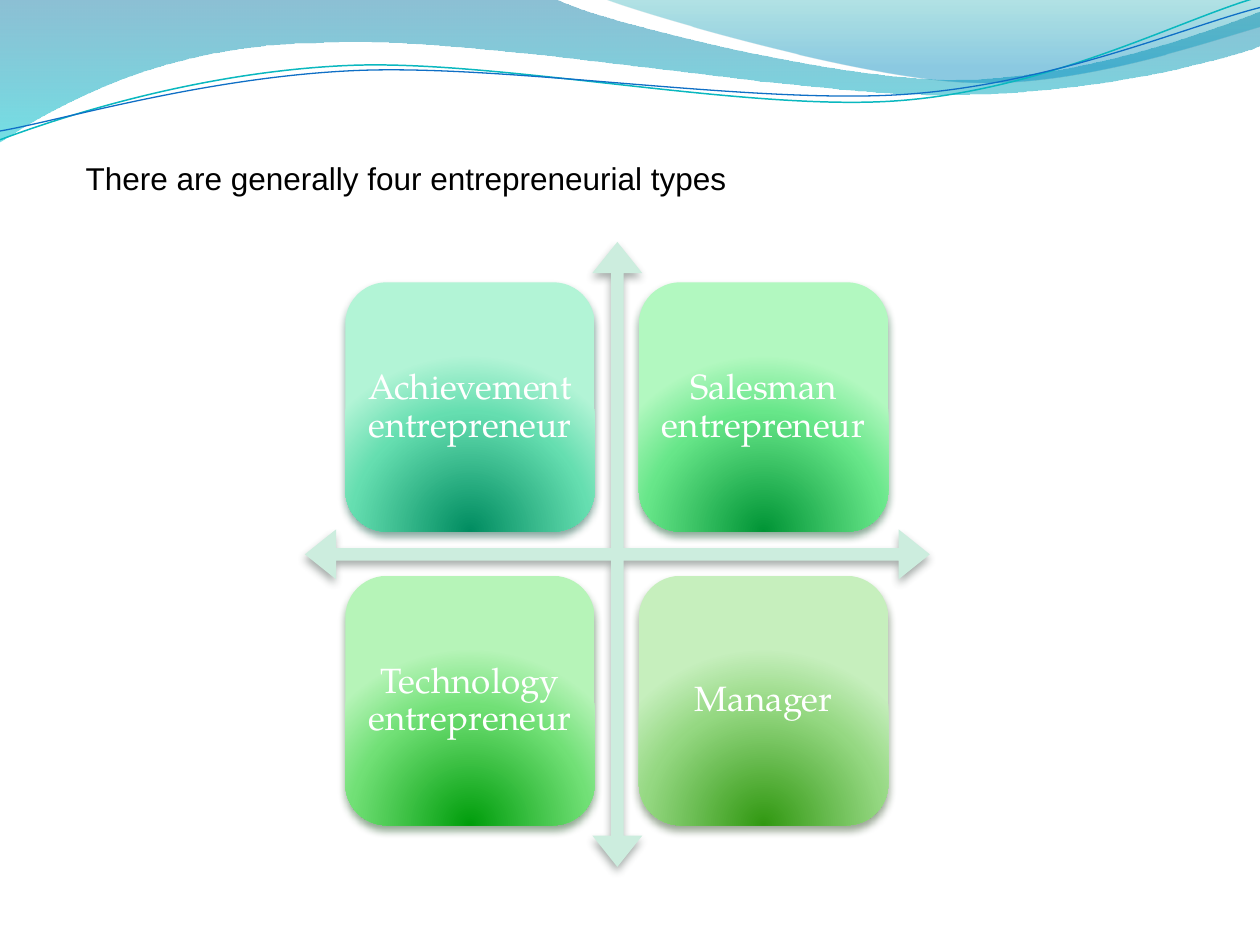
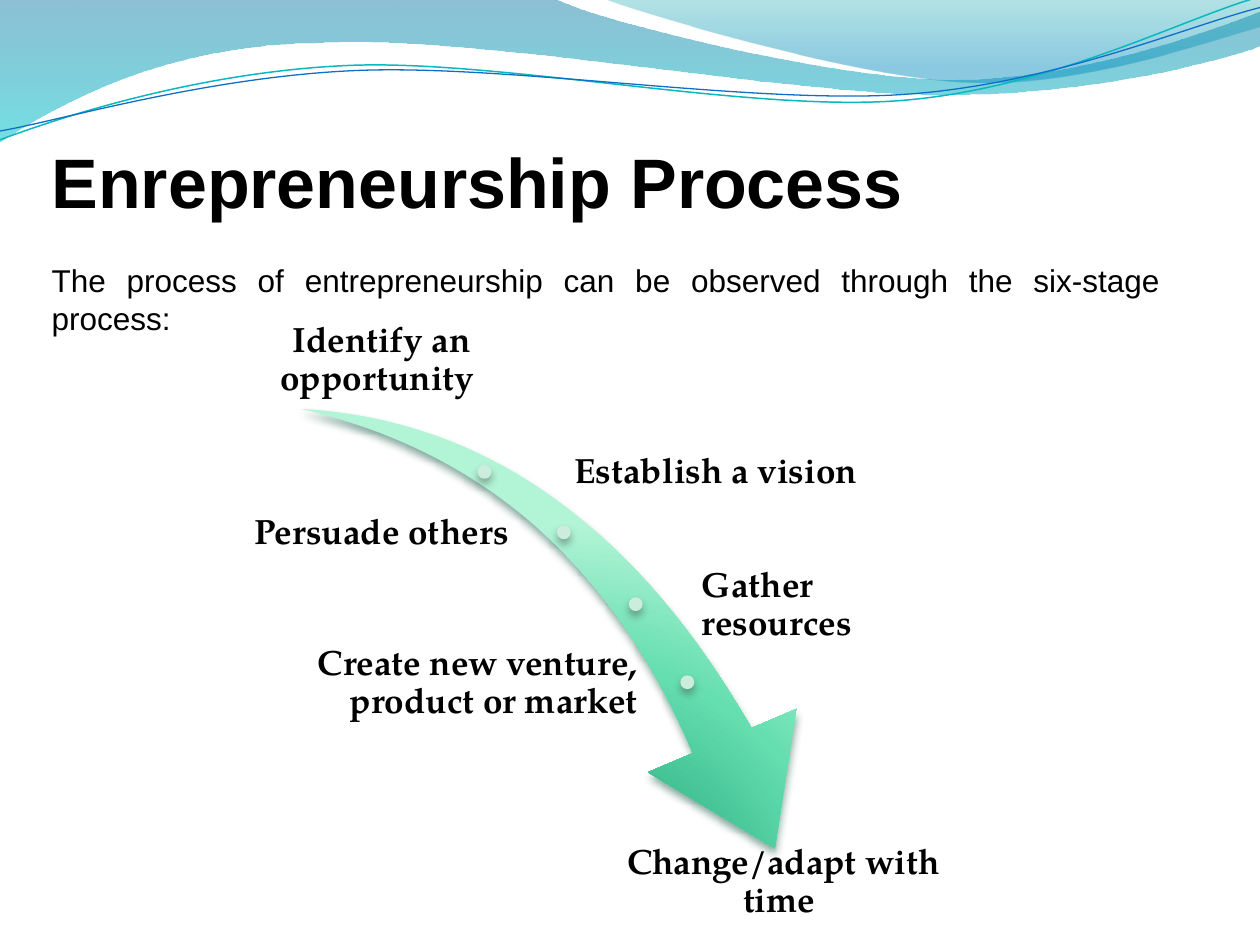
from lxml import etree
from pptx import Presentation
from pptx.dml.color import RGBColor
from pptx.enum.shapes import MSO_SHAPE
from pptx.enum.text import MSO_ANCHOR, MSO_AUTO_SIZE, PP_ALIGN
from pptx.oxml.ns import qn
from pptx.util import Inches, Pt

TOP, MIDDLE, BOTTOM = MSO_ANCHOR.TOP, MSO_ANCHOR.MIDDLE, MSO_ANCHOR.BOTTOM
LEFT, CENTER, RIGHT, JUSTIFY = (
    PP_ALIGN.LEFT, PP_ALIGN.CENTER, PP_ALIGN.RIGHT, PP_ALIGN.JUSTIFY)
TITLE_AND_CONTENT, TITLE_ONLY = 1, 5

HEADING_FONT = "Arial"
DIAGRAM_FONT = "TeX Gyre Pagella"

BLACK = RGBColor(0x00, 0x00, 0x00)
WHITE = RGBColor(0xFF, 0xFF, 0xFF)
MINT = RGBColor(0xCC, 0xED, 0xDE)
MINT_SHADOW = RGBColor(0x47, 0x54, 0x4E)
TEAL_LINE = RGBColor(0x0A, 0xB8, 0xBF)
BLUE_LINE = RGBColor(0x0F, 0x6F, 0xC6)
JADE_SHADOW = RGBColor(0x04, 0x4A, 0x37)

# Gradients are (position %, colour, opacity %)
WAVE_BLUE = [(0, RGBColor(0x00, 0x74, 0xA1), 45), (100, RGBColor(0x00, 0xC6, 0xCF), 55)]
WAVE_TEAL = [(0, RGBColor(0x00, 0xA1, 0xA9), 30), (80, RGBColor(0x00, 0x8B, 0xBF), 45)]


def glow(dark, medium, light):
    return [(0, dark, 100), (68, medium, 100), (100, light, 100)]


JADE = glow(RGBColor(0x00, 0x8C, 0x60), RGBColor(0x65, 0xDE, 0xB0), RGBColor(0xB2, 0xF4, 0xD6))
EMERALD = glow(RGBColor(0x00, 0x94, 0x35), RGBColor(0x67, 0xE6, 0x89), RGBColor(0xB2, 0xF8, 0xC0))
GREEN = glow(RGBColor(0x00, 0x9D, 0x0B), RGBColor(0x71, 0xE0, 0x76), RGBColor(0xB6, 0xF4, 0xB8))
OLIVE = glow(RGBColor(0x31, 0x98, 0x11), RGBColor(0x95, 0xD8, 0x82), RGBColor(0xC6, 0xEF, 0xBD))

# Each wave is a list of points: a pair is a corner, six numbers are a Bezier curve
BLUE_WAVE = [
    (0, -0.01), (4.4, -0.01), (4.76, 0.17, 6.64, 0.63, 7.58, 0.63),
    (8.53, 0.63, 9.58, 0.26, 10, 0.09), (10.01, 0.36),
    (9.83, 0.44, 8.7, 0.76, 7.46, 0.75), (6.22, 0.75, 3.82, 0.28, 2.57, 0.34),
    (1.29, 0.35, 0.46, 0.83, -0.01, 1.13)]
TEAL_WAVE = [
    (4.79, -0.01), (5.09, 0.11, 6.82, 0.62, 7.69, 0.65),
    (8.56, 0.69, 9.61, 0.32, 10, 0.21), (10, 0)]
TEAL_CURVE = [
    (0, 1.11), (0.48, 0.93, 1.58, 0.57, 2.77, 0.52),
    (3.95, 0.47, 5.93, 0.89, 7.13, 0.8), (8.33, 0.71, 9.38, 0.15, 9.98, -0.02)]
BLUE_CURVE = [
    (0, 1.04), (0.47, 0.96, 1.64, 0.61, 2.83, 0.56),
    (4.03, 0.51, 5.97, 0.83, 7.17, 0.75), (8.36, 0.67, 9.41, 0.21, 10, 0.06)]

ENTREPRENEUR_TYPES = [
    ("Achievement entrepreneur ", JADE, JADE_SHADOW),
    ("Salesman entrepreneur", EMERALD, RGBColor(0x0A, 0x4D, 0x25)),
    ("Technology entrepreneur", GREEN, RGBColor(0x15, 0x4B, 0x19)),
    ("Manager", OLIVE, RGBColor(0x2B, 0x48, 0x21))]
CARD_SIZE, CARD_PITCH = 1.98, 2.33
CARDS_LEFT, CARDS_TOP = 2.74, 2.24

STAGE_DOTS = [(3.79, 3.69), (4.42, 4.17), (4.99, 4.74), (5.4, 5.36)]
STAGE_HEIGHT = 0.82
STAGES = [
    ("Identify an opportunity ", 1.99, 2.37, 2.08, CENTER, BOTTOM),
    ("Establish a vision", 4.53, 3.34, 3.1, LEFT, MIDDLE),
    ("Persuade others", 1.97, 3.82, 2.1, RIGHT, MIDDLE),
    ("Gather resources", 5.54, 4.39, 2.08, LEFT, MIDDLE),
    ("Create new venture, product or market", 1.99, 5.01, 3.1, RIGHT, MIDDLE),
    ("Change/adapt with time ", 4.81, 6.67, 2.82, CENTER, TOP)]


def add_colour(parent, colour, opacity):
    node = etree.SubElement(parent, qn("a:srgbClr"), val=str(colour))
    if opacity < 100:
        etree.SubElement(node, qn("a:alpha"), val=str(opacity * 1000))


def fill_gradient(shape, stops, radial):
    """Fill from top to bottom, or radially from a point below the shape."""
    shape.fill.gradient()
    gradient = shape.element.spPr.find(qn("a:gradFill"))
    for child in list(gradient):
        gradient.remove(child)
    gradient.set("rotWithShape", "1")
    stop_list = etree.SubElement(gradient, qn("a:gsLst"))
    for position, colour, opacity in stops:
        stop = etree.SubElement(stop_list, qn("a:gs"), pos=str(position * 1000))
        add_colour(stop, colour, opacity)
    if radial:
        circle = etree.SubElement(gradient, qn("a:path"), path="circle")
        etree.SubElement(circle, qn("a:fillToRect"),
                         l="50000", t="130000", r="50000", b="-30000")
    else:
        etree.SubElement(gradient, qn("a:lin"), ang="5400000", scaled="1")


def add_shadow(shape, colour):
    shape.shadow.inherit = False
    effects = shape.element.spPr.find(qn("a:effectLst"))
    shadow = etree.SubElement(
        effects, qn("a:outerShdw"), blurRad=str(Pt(4.5)), dist=str(Pt(3)),
        dir="5400000", rotWithShape="0")
    add_colour(shadow, colour, 48)


def bend_segments(shape, steps):
    """Turn the straight segments of a freeform into Bezier curves where a step has six numbers."""
    segments = list(shape.element.spPr.iter(qn("a:lnTo")))
    for segment, step in zip(segments, steps):
        if len(step) == 2:
            continue
        curve = etree.Element(qn("a:cubicBezTo"))
        for x, y in zip(step[::2], step[1::2]):
            etree.SubElement(curve, qn("a:pt"), x=str(Inches(x) - shape.left),
                             y=str(Inches(y) - shape.top))
        segment.getparent().replace(segment, curve)


def add_outline(slide, outline, closed):
    start, *corners = [(Inches(step[-2]), Inches(step[-1])) for step in outline]
    builder = slide.shapes.build_freeform(*start)
    builder.add_line_segments(corners, close=closed)
    shape = builder.convert_to_shape()
    bend_segments(shape, outline[1:])
    shape.shadow.inherit = False
    return shape


def add_wave(slide, outline, stops):
    wave = add_outline(slide, outline, True)
    fill_gradient(wave, stops, radial=False)
    wave.line.fill.background()
    return wave


def add_curve(slide, outline, colour, width):
    curve = add_outline(slide, outline, False)
    curve.fill.background()
    curve.line.color.rgb = colour
    curve.line.width = Pt(width)
    return curve


def add_waves_to_master(deck, slide):
    """Draw the waves on a slide, then move them behind the master's placeholders."""
    waves = [
        add_wave(slide, BLUE_WAVE, WAVE_BLUE),
        add_wave(slide, TEAL_WAVE, WAVE_TEAL),
        add_curve(slide, TEAL_CURVE, TEAL_LINE, 0.85),
        add_curve(slide, BLUE_CURVE, BLUE_LINE, 0.75)]
    master_tree = deck.slide_master.shapes.element
    for index, wave in enumerate(waves, start=2):
        master_tree.insert(index, wave.element)


def add_diagram_shape(slide, kind, left, top, width, height, shadow):
    shape = slide.shapes.add_shape(
        kind, Inches(left), Inches(top), Inches(width), Inches(height))
    shape.fill.solid()
    shape.fill.fore_color.rgb = MINT
    shape.line.fill.background()
    add_shadow(shape, shadow)
    return shape


def write(frame, text, font, size, colour=BLACK, bold=False, align=LEFT,
          anchor=TOP, spacing=1.0):
    frame.word_wrap = True
    frame.auto_size = MSO_AUTO_SIZE.NONE
    frame.vertical_anchor = anchor
    para = frame.paragraphs[0]
    para.alignment = align
    para.line_spacing = spacing
    para.space_before = Pt(0)
    span = para.add_run()
    span.text = text
    span.font.name = font
    span.font.size = Pt(size)
    span.font.bold = bold
    span.font.color.rgb = colour


def set_insets(frame, inset):
    frame.margin_left = frame.margin_right = Inches(inset)
    frame.margin_top = frame.margin_bottom = Inches(inset)


def fill_placeholder(box, text, left, top, width, height, size, **style):
    box.left, box.top = Inches(left), Inches(top)
    box.width, box.height = Inches(width), Inches(height)
    write(box.text_frame, text, HEADING_FONT, size, **style)


def remove_bullet(para):
    properties = para._p.get_or_add_pPr()
    properties.set("marL", "0")
    properties.set("indent", "0")
    etree.SubElement(properties, qn("a:buNone"))


def add_type_card(slide, index, text, stops, shadow):
    row, column = divmod(index, 2)
    card = add_diagram_shape(
        slide, MSO_SHAPE.ROUNDED_RECTANGLE, CARDS_LEFT + column * CARD_PITCH,
        CARDS_TOP + row * CARD_PITCH, CARD_SIZE, CARD_SIZE, shadow)
    fill_gradient(card, stops, radial=True)
    set_insets(card.text_frame, 0.08)
    write(card.text_frame, text, DIAGRAM_FONT, 20, colour=WHITE,
          align=CENTER, anchor=MIDDLE, spacing=0.9)


def add_stage(slide, text, left, top, width, align, anchor):
    box = slide.shapes.add_textbox(
        Inches(left), Inches(top), Inches(width), Inches(STAGE_HEIGHT))
    set_insets(box.text_frame, 0.03)
    write(box.text_frame, text, DIAGRAM_FONT, 20, bold=True,
          align=align, anchor=anchor, spacing=0.9)


def build_types_slide(slide):
    fill_placeholder(slide.shapes.title, "There are generally four entrepreneurial types",
                     0.58, 1.21, 5.75, 0.4, 18)
    axes = add_diagram_shape(
        slide, MSO_SHAPE.QUAD_ARROW, 2.42, 1.92, 4.96, 4.96, MINT_SHADOW)
    for index, value in enumerate((0.02, 0.04, 0.05)):
        axes.adjustments[index] = value
    for index, entrepreneur_type in enumerate(ENTREPRENEUR_TYPES):
        add_type_card(slide, index, *entrepreneur_type)


def build_process_slide(slide):
    fill_placeholder(slide.shapes.title, "Enrepreneurship Process",
                     0.31, 1.05, 9, 0.75, 40, bold=True, align=JUSTIFY)
    intro = slide.placeholders[1]
    fill_placeholder(
        intro, "The process of entrepreneurship can be observed through the six-stage process: ",
        0.31, 2.02, 9, 0.7, 18, align=JUSTIFY)
    remove_bullet(intro.text_frame.paragraphs[0])

    arrow = add_diagram_shape(
        slide, MSO_SHAPE.SWOOSH_ARROW, 2.29, 3.38, 4.42, 3.08, JADE_SHADOW)
    arrow.rotation = 73.3
    arrow.adjustments[0], arrow.adjustments[1] = 0.163, 0.314
    fill_gradient(arrow, JADE, radial=True)
    for left, top in STAGE_DOTS:
        add_diagram_shape(slide, MSO_SHAPE.OVAL, left, top, 0.11, 0.11, MINT_SHADOW)
    for stage in STAGES:
        add_stage(slide, *stage)


def main():
    deck = Presentation()
    deck.slide_width, deck.slide_height = Inches(10), Inches(7.5)
    types_slide = deck.slides.add_slide(deck.slide_layouts[TITLE_ONLY])
    process_slide = deck.slides.add_slide(deck.slide_layouts[TITLE_AND_CONTENT])
    add_waves_to_master(deck, types_slide)
    build_types_slide(types_slide)
    build_process_slide(process_slide)
    deck.save("out.pptx")


if __name__ == "__main__":
    main()
